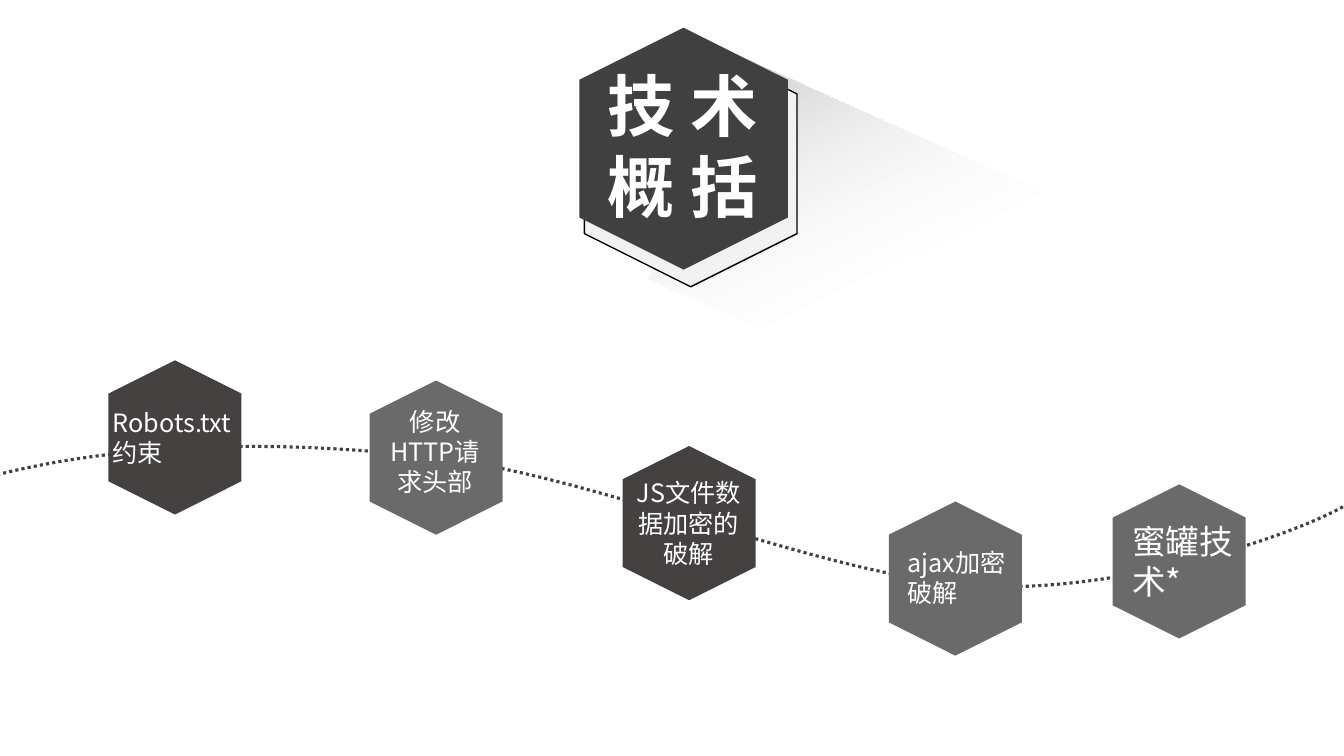
"""Builds the technique overview slide: a hexagon title above five hexagons on a dotted wave."""
from dataclasses import dataclass

from lxml import etree
from pptx import Presentation
from pptx import util as u
from pptx.dml.color import RGBColor
from pptx.enum import dml, shapes, text
from pptx.oxml import parse_xml
from pptx.oxml.ns import nsdecls, qn

PX = 9144


@dataclass(frozen=True)
class Theme:
    """Holds the colours, font and type sizes of the slide."""
    font: str = "Noto Sans CJK SC"
    paper: str = "FFFFFF"
    title_face: str = "404040"
    title_back: str = "F2F2F2"
    outline: str = "000000"
    dark: str = "454141"
    grey: str = "6A6A6A"
    wave: str = "3F404B"
    shadow: tuple = ((0, "838383", 54), (0, "BFBFBF", 100), (54, "FFFFFF", 0))
    title_size: int = 48
    label_size: int = 18
    large_size: int = 24


THEME = Theme()
LEFT, CENTER = text.PP_ALIGN.LEFT, text.PP_ALIGN.CENTER
STEP_SIZE = (153, 132)
STEPS = [
    ((97, 368), THEME.dark, "Robots.txt\n约束", (102, 399, 145, 71), LEFT, THEME.label_size),
    ((356, 388), THEME.grey, "修改HTTP请求头部", (370, 398, 123, 101), CENTER, THEME.label_size),
    ((607, 453), THEME.dark, "JS文件数据加密的破解", (617, 469, 132, 101), CENTER, THEME.label_size),
    ((871, 508), THEME.grey, "ajax加密破解", (890, 538, 123, 71), LEFT, THEME.label_size),
    ((1093, 491), THEME.grey, "蜜罐技术*", (1113, 512, 132, 91), LEFT, THEME.large_size),
]
WAVE_START = (-3, 471)
WAVE_CURVES = [
    ((121, 440), (268, 435), (432, 454)),
    ((595, 472), (828, 577), (980, 582)),
    ((1133, 586), (1298, 524), (1335, 501)),
]


def emu(*lengths):
    """Turns px lengths into EMU."""
    return [u.Emu(length * PX) for length in lengths]


def add_plain_shape(slide, kind, box, rotation):
    """Adds a preset shape without fill, line or shadow."""
    shape = slide.shapes.add_shape(kind, *emu(*box))
    shape.rotation = rotation
    shape.shadow.inherit = False
    shape.fill.background()
    shape.line.fill.background()
    return shape


def add_hexagon(slide, box, colour, outline=None):
    """Adds a filled hexagon that stands on its point."""
    hexagon = add_plain_shape(slide, shapes.MSO_SHAPE.HEXAGON, box, 90)
    hexagon.fill.solid()
    hexagon.fill.fore_color.rgb = RGBColor.from_string(colour)
    if outline:
        hexagon.line.color.rgb = RGBColor.from_string(outline)
        hexagon.line.width = u.Pt(1)


def add_long_shadow(slide, box, rotation, angle):
    """Adds a rotated rectangle that fades to transparent."""
    shadow = add_plain_shape(slide, shapes.MSO_SHAPE.RECTANGLE, box, rotation)
    stops = "".join(
        f'<a:gs pos="{place * 1000}"><a:srgbClr val="{colour}">'
        f'<a:alpha val="{opacity * 1000}"/></a:srgbClr></a:gs>'
        for place, colour, opacity in THEME.shadow)
    gradient = parse_xml(
        f'<a:gradFill {nsdecls("a")} rotWithShape="1"><a:gsLst>{stops}</a:gsLst>'
        f'<a:lin ang="{angle * 60000}" scaled="0"/></a:gradFill>')
    properties = shadow._element.spPr
    properties.replace(properties.find(qn("a:noFill")), gradient)


def curve_points(start, curves, steps=24):
    """Returns the points along a chain of cubic curves."""
    points = []
    for first, second, end in curves:
        for step in range(1, steps + 1):
            t = step / steps
            weights = ((1 - t) ** 3, 3 * t * (1 - t) ** 2, 3 * t * t * (1 - t), t ** 3)
            corners = (start, first, second, end)
            points.append(tuple(
                round(PX * sum(w * corner[axis] for w, corner in zip(weights, corners)))
                for axis in (0, 1)))
        start = end
    return points


def add_wave(slide):
    """Adds the dotted wave that links the steps."""
    outline = slide.shapes.build_freeform(*emu(*WAVE_START))
    outline.add_line_segments(curve_points(WAVE_START, WAVE_CURVES), close=False)
    wave = outline.convert_to_shape()
    wave.shadow.inherit = False
    wave.fill.background()
    wave.line.color.rgb = RGBColor.from_string(THEME.wave)
    wave.line.width = u.Pt(2.25)
    wave.line.dash_style = dml.MSO_LINE.ROUND_DOT


def write(holder, words, align, size, bold=False):
    """Writes white wrapped words into a text holder."""
    frame = holder.text_frame
    frame.text = words
    frame.word_wrap = True
    frame.auto_size = text.MSO_AUTO_SIZE.SHAPE_TO_FIT_TEXT
    frame.vertical_anchor = text.MSO_ANCHOR.TOP
    for paragraph in frame.paragraphs:
        paragraph.alignment = align
        for run in paragraph.runs:
            run.font.name = THEME.font
            run.font.size = u.Pt(size)
            run.font.bold = bold
            run.font.color.rgb = RGBColor.from_string(THEME.paper)
            east_asian = etree.SubElement(run.font._element, qn("a:ea"))
            east_asian.set("typeface", THEME.font)


def place_title(slide, words, box):
    """Moves the title placeholder in front of its hexagon and fills it."""
    title = slide.shapes.title
    title.left, title.top, title.width, title.height = emu(*box)
    write(title, words, CENTER, THEME.title_size, bold=True)
    slide.shapes._spTree.append(title._element)


def add_step(slide, corner, colour, words, label_box, align, size):
    """Adds one step: a hexagon with its label."""
    add_hexagon(slide, corner + STEP_SIZE, colour)
    label = slide.shapes.add_textbox(*emu(*label_box))
    write(label, words, align, size)


def main():
    """Builds and saves the slide."""
    deck = Presentation()
    deck.slide_width, deck.slide_height = u.Inches(13.33), u.Inches(7.5)
    slide = deck.slides.add_slide(deck.slide_layouts[5])
    add_long_shadow(slide, (672, 141, 451, 239), 24.2, 40)
    add_wave(slide)
    add_hexagon(slide, (563, 57, 244, 211), THEME.title_back, THEME.outline)
    add_hexagon(slide, (558, 44, 240, 207), THEME.title_face)
    place_title(slide, "技 术概 括", (572, 59, 210, 172))
    for step in STEPS:
        add_step(slide, *step)
    deck.save("out.pptx")


if __name__ == "__main__":
    main()
